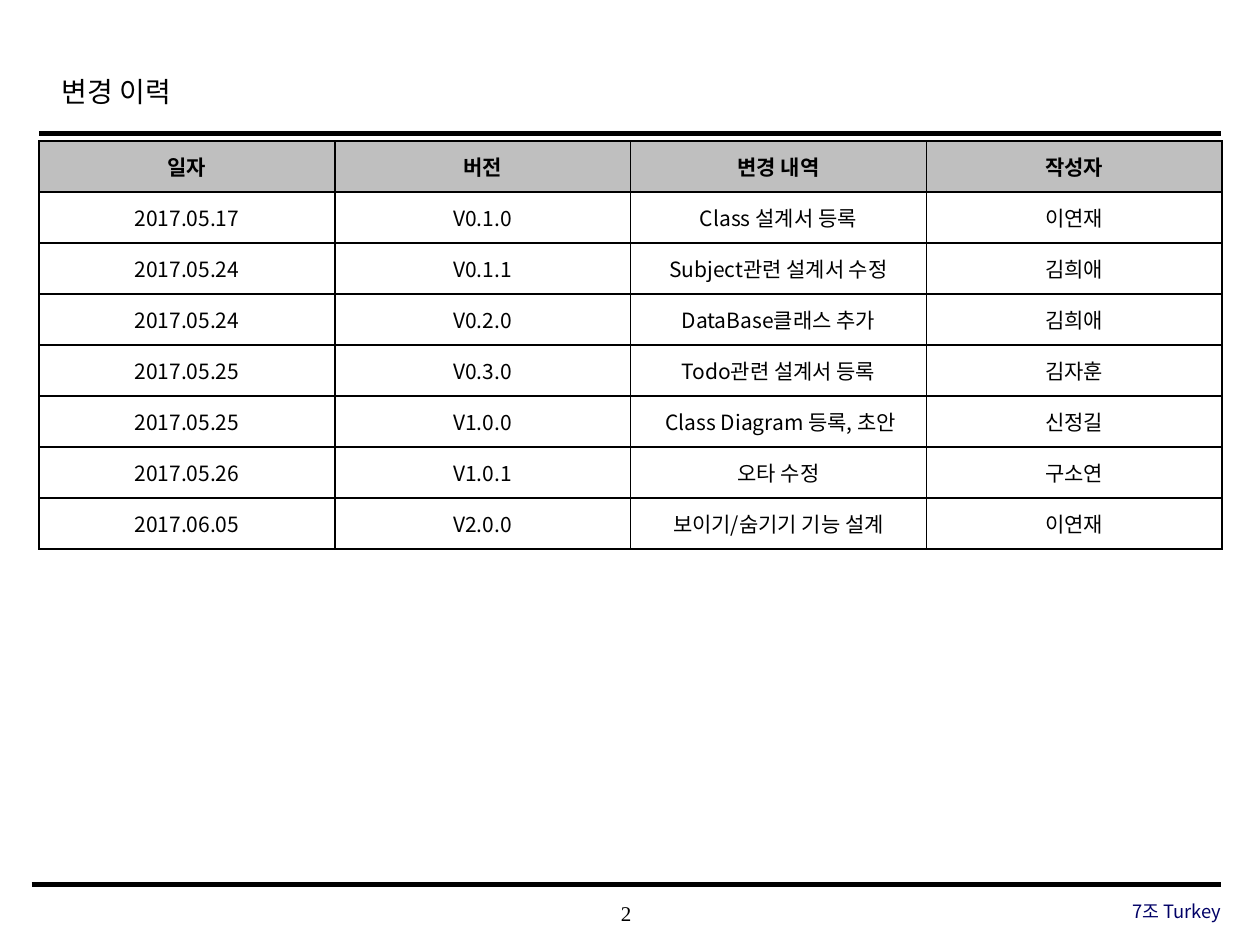
from lxml import etree
from pptx import Presentation
from pptx.dml.color import RGBColor
from pptx.enum.shapes import MSO_CONNECTOR as Connector
from pptx.enum.text import MSO_ANCHOR as Anchor, MSO_AUTO_SIZE as AutoSize, PP_ALIGN as Align
from pptx.oxml.ns import qn
from pptx.util import Inches, Pt

BLACK = RGBColor(0x00, 0x00, 0x00)
WHITE = RGBColor(0xFF, 0xFF, 0xFF)
HEADER_GRAY = RGBColor(0xBF, 0xBF, 0xBF)
TEAM_NAVY = RGBColor(0x00, 0x00, 0x66)
SANS = "Noto Sans CJK KR"
SERIF = "Times New Roman"

HISTORY = [
    ("일자", "버전", "변경 내역", "작성자"),
    ("2017.05.17", "V0.1.0", "Class 설계서 등록", "이연재"),
    ("2017.05.24", "V0.1.1", "Subject관련 설계서 수정", "김희애"),
    ("2017.05.24", "V0.2.0", "DataBase클래스 추가", "김희애"),
    ("2017.05.25", "V0.3.0", "Todo관련 설계서 등록", "김자훈"),
    ("2017.05.25", "V1.0.0", " Class Diagram 등록, 초안", "신정길"),
    ("2017.05.26", "V1.0.1", "오타 수정", "구소연"),
    ("2017.06.05", "V2.0.0", "보이기/숨기기 기능 설계", "이연재"),
]


def style_paragraph(para, size, align, latin=SANS, color=BLACK, bold=False):
    """Set alignment and font, with the sans face for Korean letters."""
    para.alignment = align
    font = para.font
    font.size, font.bold, font.name = Pt(size), bold, latin
    font.color.rgb = color
    defaults = para._p.pPr.find(qn("a:defRPr"))
    etree.SubElement(defaults, qn("a:ea")).set("typeface", SANS)


def add_rule(page, left, top, width, weight):
    """Draw a black horizontal rule."""
    rule = page.shapes.add_connector(
        Connector.STRAIGHT, Inches(left), Inches(top), Inches(left + width), Inches(top))
    rule.line.color.rgb = BLACK
    rule.line.width = Pt(weight)
    etree.SubElement(rule._element.spPr, qn("a:effectLst"))


def add_label(page, text, left, top, width, height, **style):
    """Add one line of text without margins, centred vertically."""
    box = page.shapes.add_textbox(Inches(left), Inches(top), Inches(width), Inches(height))
    frame = box.text_frame
    frame.word_wrap = True
    frame.vertical_anchor = Anchor.MIDDLE
    frame.margin_left = frame.margin_right = frame.margin_top = frame.margin_bottom = 0
    frame.text = text
    style_paragraph(frame.paragraphs[0], **style)


def add_heading(page, text, left, top, width, height):
    """Place the title and the rule below it."""
    title = page.shapes.title
    title.left, title.top = Inches(left + 0.08), Inches(top)
    title.width, title.height = Inches(7.55), Inches(0.5)
    frame = title.text_frame
    frame.text = text
    frame.auto_size = AutoSize.NONE
    frame.vertical_anchor = Anchor.TOP
    para = frame.paragraphs[0]
    para.line_spacing = 1.2
    style_paragraph(para, 16, Align.LEFT, latin=SERIF)
    add_rule(page, left, top + height, width, 2.5)


def add_cell_borders(cell):
    """Outline a cell with thin black lines, placed before its fill."""
    properties = cell._tc.get_or_add_tcPr()
    for index, side in enumerate(("lnL", "lnR", "lnT", "lnB")):
        line = etree.Element(qn(f"a:{side}"), w=str(Pt(1)))
        fill = etree.SubElement(line, qn("a:solidFill"))
        etree.SubElement(fill, qn("a:srgbClr"), val=str(BLACK))
        properties.insert(index, line)


def add_history_table(page, rows, left, top, width, height):
    """Add the change history with equal columns and rows."""
    table = page.shapes.add_table(
        len(rows), len(rows[0]), Inches(left), Inches(top), Inches(width), Inches(height)).table
    for row_index, row in enumerate(rows):
        is_header = row_index == 0
        for column_index, text in enumerate(row):
            cell = table.cell(row_index, column_index)
            cell.text = text
            cell.vertical_anchor = Anchor.MIDDLE
            cell.fill.solid()
            cell.fill.fore_color.rgb = HEADER_GRAY if is_header else WHITE
            style_paragraph(cell.text_frame.paragraphs[0], 12, Align.CENTER, bold=is_header)
            add_cell_borders(cell)


def add_footer(page, number, team, left, top, width):
    """Add the bottom rule, the page number and the team name."""
    add_rule(page, left, top, width, 3)
    add_label(page, number, left + 3.68, top + 0.06, 2.08, 0.33,
              size=12, align=Align.CENTER, latin=SERIF)
    add_label(page, team, left + width - 3.06, top + 0.05, 3.06, 0.33,
              size=10.5, align=Align.RIGHT, color=TEAM_NAVY)


def main():
    """Build and save the deck."""
    deck = Presentation()
    deck.slide_width, deck.slide_height = Inches(10), Inches(7.5)
    page = deck.slides.add_slide(deck.slide_layouts[5])
    add_heading(page, "변경 이력", 0.31, 0.49, 9.38, 0.57)
    add_history_table(page, HISTORY, 0.31, 1.12, 9.39, 3.24)
    add_footer(page, "2", "7조 Turkey", 0.25, 7.02, 9.44)
    deck.save("out.pptx")


main()
